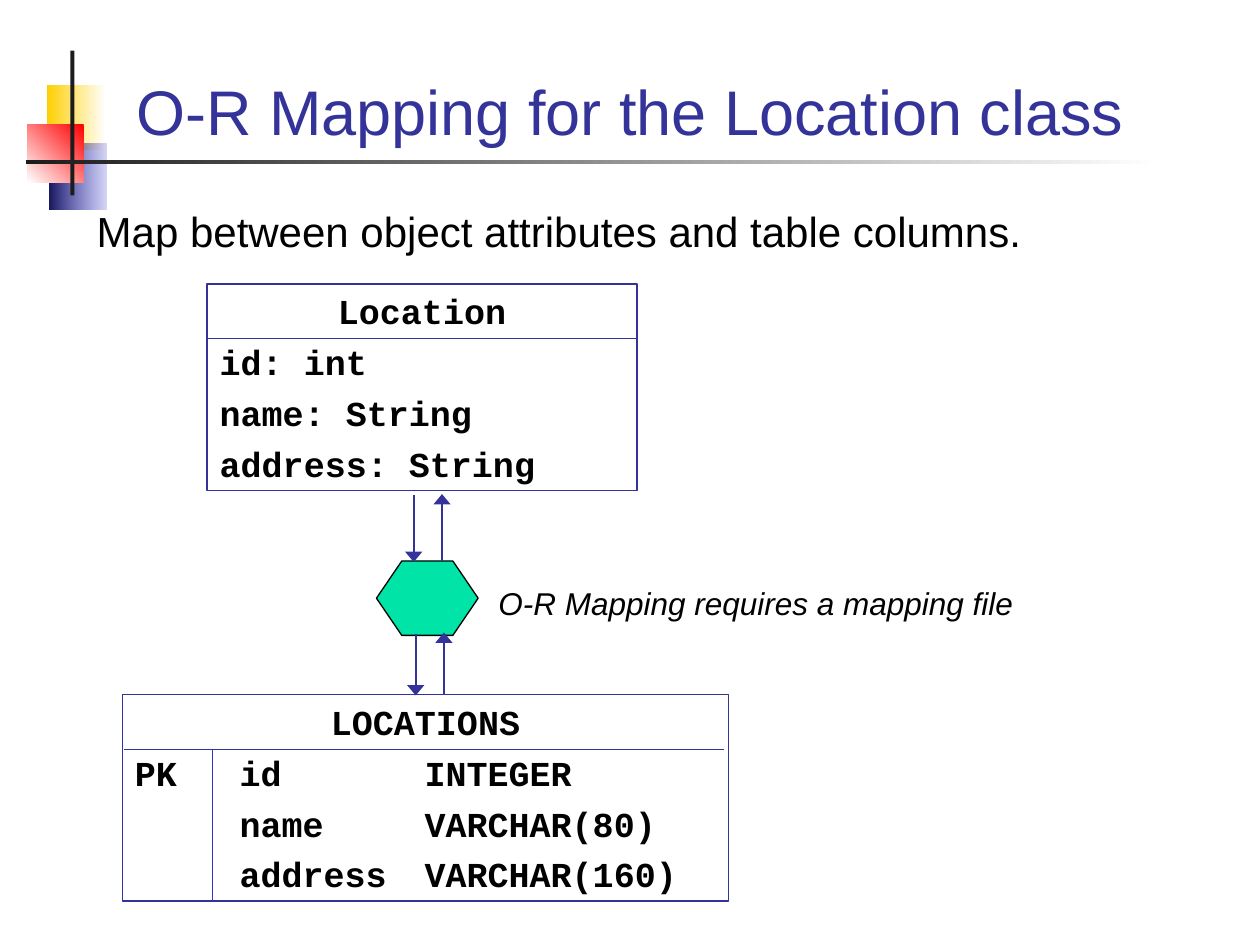
from dataclasses import dataclass

from lxml import etree
from pptx import Presentation
from pptx.dml.color import RGBColor
from pptx.enum.shapes import MSO_CONNECTOR, MSO_SHAPE
from pptx.enum.text import MSO_ANCHOR, PP_ALIGN
from pptx.oxml.ns import qn
from pptx.util import Cm, Pt

RECT, HEX = MSO_SHAPE.RECTANGLE, MSO_SHAPE.HEXAGON
LINE = MSO_CONNECTOR.STRAIGHT
LEFT, MID = PP_ALIGN.LEFT, PP_ALIGN.CENTER
TOP, BASE = MSO_ANCHOR.TOP, MSO_ANCHOR.BOTTOM


@dataclass(frozen=True)
class Theme:
    navy: str = "333399"
    blue: str = "3333CC"
    deep: str = "17175E"
    gold: str = "FFCF01"
    red: str = "FF0000"
    green: str = "00E4A8"
    dark: str = "1C1C1C"
    black: str = "000000"
    white: str = "FFFFFF"
    sans: str = "Arial"
    mono: str = "Courier New"
    head: int = 36
    body: int = 24
    code: int = 20
    note: int = 18
    gap: int = 5
    thin: float = 0.75
    rule: float = 1


T = Theme()


def rgb(color):
    return RGBColor.from_string(color)


def shape(slide, kind, area, fill=None, line=None, width=T.rule):
    item = slide.shapes.add_shape(kind, *map(Cm, area))
    item.shadow.inherit = False
    if fill:
        item.fill.solid()
        item.fill.fore_color.rgb = rgb(fill)
    else:
        item.fill.background()
    if line:
        item.line.color.rgb = rgb(line)
        item.line.width = Pt(width)
    else:
        item.line.fill.background()
    return item


def blend(slide, area, start, end, angle=180, alpha=None):
    """Rectangle with a two-colour gradient; alpha fades the start."""
    item = shape(slide, RECT, area)
    item.fill.gradient()
    item.fill.gradient_angle = angle
    stops = item.fill.gradient_stops
    for stop, color, pos in zip(stops, (start, end), (0, 1)):
        stop.color.rgb = rgb(color)
        stop.position = pos
    if alpha:
        first = next(item._element.iter(qn("a:srgbClr")))
        etree.SubElement(first, qn("a:alpha"), val=str(alpha * 1000))


def write(frame, text, size, font=T.sans, color=T.black, bold=False,
          italic=False, align=LEFT, first=None, gap=0, anchor=TOP, tabs=()):
    """Write one paragraph per line; first aligns the top line."""
    frame.word_wrap = True
    frame.vertical_anchor = anchor
    for row, words in enumerate(text.split("\n")):
        para = frame.add_paragraph() if row else frame.paragraphs[0]
        para.alignment = align if row or first is None else first
        para.space_before = Pt(gap if row else 0)
        run = para.add_run()
        run.text = words
        run.font.name, run.font.size = font, Pt(size)
        run.font.bold, run.font.italic = bold, italic
        run.font.color.rgb = rgb(color)
        if tabs:
            stops = etree.SubElement(para._p.get_or_add_pPr(), qn("a:tabLst"))
            for pos in tabs:
                etree.SubElement(stops, qn("a:tab"), pos=str(Cm(pos)), algn="l")


def label(slide, area, text, size, **form):
    write(slide.shapes.add_textbox(*map(Cm, area)).text_frame, text, size, **form)


def entity(slide, area, text, tabs=()):
    box = shape(slide, RECT, area, line=T.navy)
    write(box.text_frame, text, T.code, font=T.mono, bold=True,
          first=MID, gap=T.gap, tabs=tabs)


def line(slide, start, end, color=T.navy, width=T.thin, tip=None):
    """Straight line; tip is headEnd or tailEnd for an arrow."""
    item = slide.shapes.add_connector(LINE, *map(Cm, start + end))
    item.line.color.rgb = rgb(color)
    item.line.width = Pt(width)
    if tip:
        etree.SubElement(item.line._get_or_add_ln(), qn("a:" + tip),
                         type="triangle", w="lg", len="med")
    etree.SubElement(item._element.spPr, qn("a:effectLst"))


def decor(slide):
    blend(slide, (0.94, 1.71, 1.19, 1.32), T.white, T.gold)
    blend(slide, (0.99, 2.9, 1.15, 1.32), T.blue, T.deep, alpha=20)
    blend(slide, (0.56, 2.51, 1.13, 1.17), T.red, T.white, angle=225)
    shape(slide, RECT, (1.42, 1.02, 0.08, 2.92), fill=T.dark)
    blend(slide, (0.53, 3.23, 22.86, 0.08), T.white, T.dark)


def main():
    deck = Presentation()
    deck.slide_width, deck.slide_height = Cm(25.4), Cm(19.05)
    slide = deck.slides.add_slide(deck.slide_layouts[6])

    # Corner ornament, title and lead
    decor(slide)
    label(slide, (1.7, 0.71, 22, 2.41), "O-R Mapping for the Location class",
          T.head, color=T.navy, align=MID, anchor=BASE)
    label(slide, (1.7, 4.01, 22, 1.73),
          "Map between object attributes and table columns.", T.body)

    # Database table
    entity(slide, (2.47, 14, 12.22, 4.17),
           "LOCATIONS\nPK\tid\tINTEGER\n\tname\tVARCHAR(80)\n"
           "\taddress\tVARCHAR(160)", tabs=(2.11, 5.84))
    line(slide, (14.6, 15.11), (2.51, 15.11))
    line(slide, (4.28, 15.09), (4.28, 18.16), color=T.blue)

    # Class
    entity(slide, (4.18, 5.72, 8.66, 4.17),
           "Location\nid: int\nname: String\naddress: String")
    line(slide, (12.84, 6.83), (4.18, 6.83))

    # Mapping between them
    node = shape(slide, HEX, (7.59, 11.31, 2.05, 1.5), fill=T.green,
                 line=T.black, width=T.thin)
    node.adjustments[0] = 0.34
    label(slide, (9.8, 11.64, 13.28, 1.02),
          "O-R Mapping requires a mapping file", T.note, italic=True)
    for x, top, foot, tip in ((8.34, 9.98, 11.33, "tailEnd"),
                              (8.38, 12.78, 14.02, "tailEnd"),
                              (8.91, 9.96, 11.3, "headEnd"),
                              (8.95, 12.75, 14, "headEnd")):
        line(slide, (x, top), (x, foot), width=T.rule, tip=tip)

    deck.save("out.pptx")


if __name__ == "__main__":
    main()
